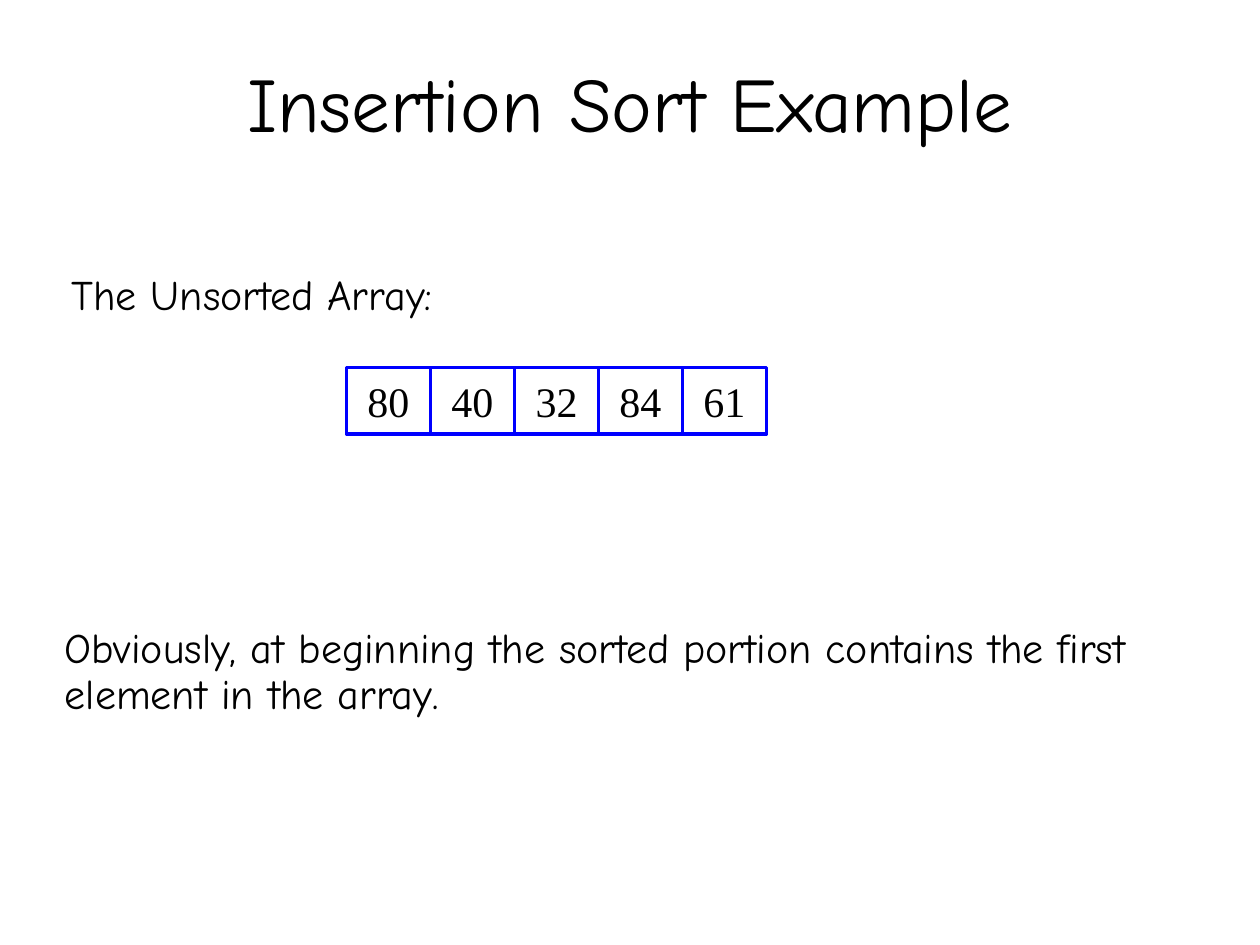
from dataclasses import dataclass

from pptx import Presentation
from pptx.dml.color import RGBColor
from pptx.enum import shapes, text
from pptx.util import Pt


@dataclass(frozen=True)
class Theme:
    ink: RGBColor = RGBColor(0, 0, 0)
    cell_border: RGBColor = RGBColor(0, 0, 255)
    prose_font: str = "Comic Neue"
    number_font: str = "Times New Roman"
    title_size: int = 44
    body_size: int = 24
    border_width: int = 2


THEME = Theme()
CENTER = text.PP_ALIGN.CENTER
LEFT = text.PP_ALIGN.LEFT
TOP = text.MSO_ANCHOR.TOP
MIDDLE = text.MSO_ANCHOR.MIDDLE


def write(frame, wording, font_name, size, align, anchor):
    frame.word_wrap = True
    frame.vertical_anchor = anchor
    frame.text = wording
    paragraph = frame.paragraphs[0]
    paragraph.alignment = align
    font = paragraph.runs[0].font
    font.name = font_name
    font.size = Pt(size)
    font.color.rgb = THEME.ink
    return paragraph


def add_prose(slide, box, wording, size, align, anchor=TOP):
    prose = slide.shapes.add_textbox(*map(Pt, box))
    return write(prose.text_frame, wording, THEME.prose_font, size, align, anchor)


def add_title(slide, box):
    add_prose(slide, box, "Insertion Sort Example", THEME.title_size, CENTER, MIDDLE)


def add_array_label(slide, box):
    add_prose(slide, box, "The Unsorted Array:", THEME.body_size, CENTER)


def add_array(slide, box, values):
    left, top, width, height = box
    cell_width = width / len(values)
    for index, value in enumerate(values):
        cell = slide.shapes.add_shape(
            shapes.MSO_SHAPE.RECTANGLE,
            Pt(left + index * cell_width), Pt(top), Pt(cell_width), Pt(height))
        cell.shadow.inherit = False
        cell.fill.background()
        cell.line.color.rgb = THEME.cell_border
        cell.line.width = Pt(THEME.border_width)
        write(cell.text_frame, str(value), THEME.number_font,
              THEME.body_size, CENTER, MIDDLE)


def add_explanation(slide, box):
    paragraph = add_prose(
        slide, box,
        "Obviously, at beginning the sorted portion contains the first "
        "element in the array.",
        THEME.body_size, LEFT)
    paragraph.line_spacing = 0.9


def main():
    deck = Presentation()
    deck.slide_width, deck.slide_height = Pt(720), Pt(540)
    slide = deck.slides.add_slide(deck.slide_layouts[6])

    # Heading
    add_title(slide, (54, 13, 612, 90))

    # Array before sorting
    add_array_label(slide, (0, 150, 288, 36))
    add_array(slide, (198, 210, 240, 38), [80, 40, 32, 84, 61])

    # Remark on the starting state
    add_explanation(slide, (30, 355, 648, 60))

    deck.save("out.pptx")


if __name__ == "__main__":
    main()
